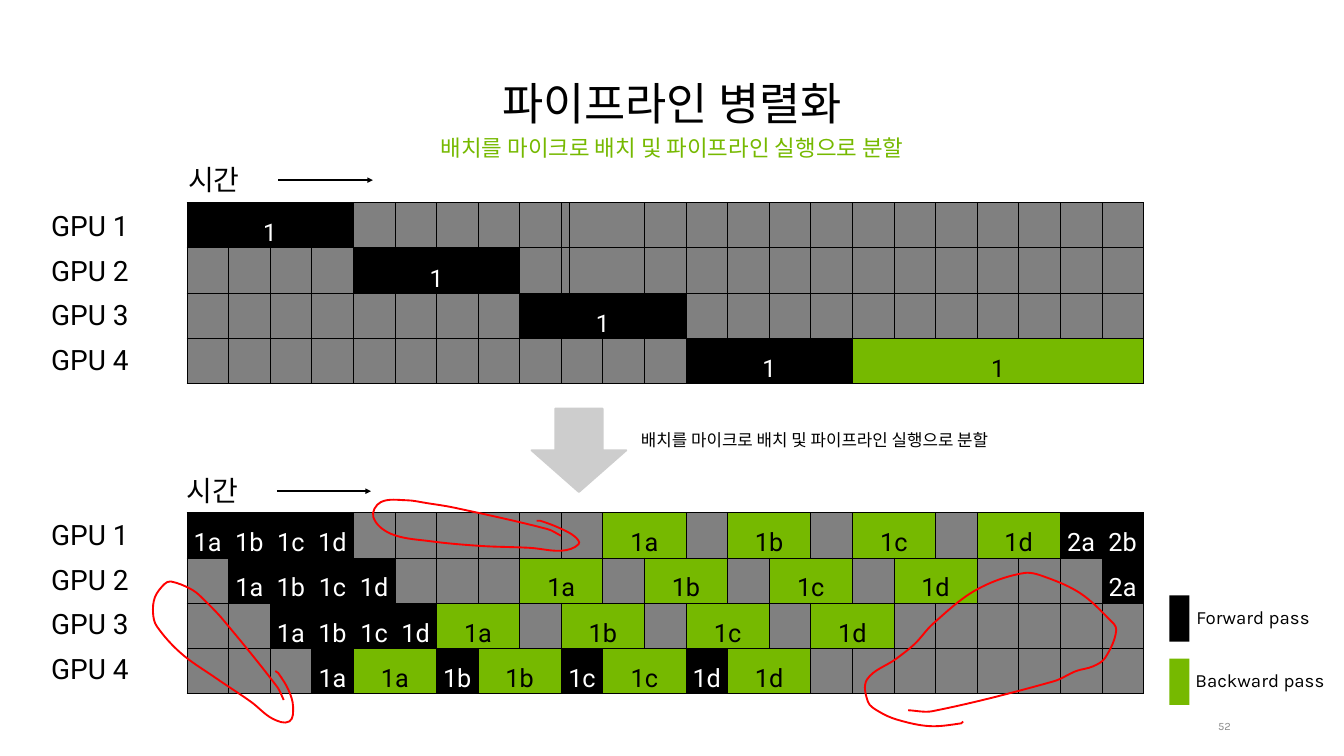
from math import hypot
from pptx import Presentation
from pptx.dml.color import RGBColor
from pptx.enum import shapes, text
from pptx.oxml import parse_xml
from pptx.oxml.ns import nsdecls, qn
from pptx.util import Pt

BLACK = RGBColor(0x00, 0x00, 0x00)
WHITE = RGBColor(0xFF, 0xFF, 0xFF)
GREEN = RGBColor(0x76, 0xB9, 0x00)
GRAY = RGBColor(0x80, 0x80, 0x80)
SILVER = RGBColor(0xCD, 0xCD, 0xCD)
PAGE_GRAY = RGBColor(0x8C, 0x8C, 0x8C)
RED = RGBColor(0xFF, 0x00, 0x00)
LEFT, CENTER, RIGHT = text.PP_ALIGN.LEFT, text.PP_ALIGN.CENTER, text.PP_ALIGN.RIGHT
TOP, MIDDLE, BOTTOM = text.MSO_ANCHOR.TOP, text.MSO_ANCHOR.MIDDLE, text.MSO_ANCHOR.BOTTOM

# Content
SUBTITLE = "배치를 마이크로 배치 및 파이프라인 실행으로 분할"
# text, box, size, font, colour, alignment, anchor, (side, top) margins, line spacing
TEXTS = [
    ("52", (1276.4, 771, 42.5, 14.4), 12, "Karla", PAGE_GRAY, RIGHT, MIDDLE, (0, 0), 1),
    ("파이프라인 병렬화", (65.5, 68.2, 1309, 77.8), 48, "Karla", BLACK, CENTER, BOTTOM, (12, 6), 0.9),
    (SUBTITLE, (65.5, 143, 1309, 69), 24, "Karla", GREEN, CENTER, TOP, (7.2, 3.6), 0.9),
    ("Forward pass", (1245.4, 648, 194.4, 28.8), 20, "Karla", BLACK, CENTER, MIDDLE, (7.2, 3.6), 0.9),
    ("Backward pass", (1252.8, 715.7, 194.4, 28.8), 20, "Karla", BLACK, CENTER, MIDDLE, (7.2, 3.6), 0.9),
    (SUBTITLE, (679.7, 456.5, 723.6, 28.8), 18, "Arial", BLACK, LEFT, TOP, (7.2, 3.6), 1),
]
GPUS = ["GPU 1", "GPU 2", "GPU 3", "GPU 4"]
MICRO = ["1a", "1b", "1c", "1d"]
LEGEND = [(BLACK, 637.9), (GREEN, 705.6)]
STEP, ROW_H, TABLE_X = 44.58, 48.5, 200.2

# Blocks: row, first column, columns spanned, text, fill
ONE_BATCH = [
    (0, 0, 4, "1", BLACK), (1, 4, 4, "1", BLACK), (2, 8, 5, "1", BLACK),
    (3, 13, 4, "1", BLACK), (3, 17, 7, "1", GREEN),
    (0, 10, 2, "", GRAY), (1, 10, 2, "", GRAY), (3, 9, 2, "", GRAY),
]
MICRO_BATCHES = [(0, 21, 1, "2a", BLACK), (0, 22, 1, "2b", BLACK), (1, 22, 1, "2a", BLACK)]
for row in range(4):
    for i, name in enumerate(MICRO):
        forward_gap = 3 if row == 3 else 1  # the last GPU alternates both passes
        MICRO_BATCHES.append((row, row + forward_gap * i, 1, name, BLACK))
        MICRO_BATCHES.append((row, 10 - 2 * row + 3 * i, 2, name, GREEN))

# Schedules: table top, label top, time label and arrow positions, columns, size, blocks
SCHEDULES = [
    (217, 218.5, (194.4, 170.3), (298, 399.6, 193), [STEP] * 9 + [8.9, 35.7] + [STEP] * 13, 26, ONE_BATCH),
    (549.2, 549.7, (193, 503.3), (296.6, 397.4, 526.3), [STEP] * 23, 27, MICRO_BATCHES),
]

# Hand-drawn loops around the idle time
LOOPS = [
    [(601, 574), (587, 567), (487, 544), (457, 539), (436, 536), (408, 538), (400, 554),
     (419, 572), (462, 580), (516, 585), (568, 587), (602, 590), (620, 583), (616, 575),
     (600, 566), (579, 558), (575, 558)],
    [(973, 761), (999, 762), (1129, 730), (1153, 719), (1171, 714), (1184, 705), (1196, 675),
     (1188, 663), (1158, 636), (1122, 619), (1097, 614), (1046, 632), (1000, 668), (980, 690),
     (960, 706), (929, 728), (930, 752), (941, 762), (961, 771), (996, 778), (1030, 775),
     (1032, 773)],
    [(304, 750), (297, 736), (239, 664), (220, 644), (206, 632), (183, 623), (176, 626),
     (166, 640), (164, 657), (168, 671), (194, 700), (232, 727), (269, 752), (292, 770),
     (310, 773), (314, 757), (309, 739), (298, 721), (295, 719)],
]

prs = Presentation()
prs.slide_width, prs.slide_height = Pt(1440), Pt(810)
s = prs.slides.add_slide(prs.slide_layouts[6])


def add_run(p, words, size, font, color):
    r = p.add_run()
    r.text = words
    r.font.size, r.font.name, r.font.color.rgb = Pt(size), font, color


def add_text(words, box, size, font, color, align, anchor, margins, spacing):
    tf = s.shapes.add_textbox(*map(Pt, box)).text_frame
    tf.word_wrap, tf.vertical_anchor = True, anchor
    tf.margin_left = tf.margin_right = Pt(margins[0])
    tf.margin_top = tf.margin_bottom = Pt(margins[1])
    p = tf.paragraphs[0]
    p.alignment, p.line_spacing = align, spacing
    add_run(p, words, size, font, color)


def add_shape(kind, box, color):
    sp = s.shapes.add_shape(kind, *map(Pt, box))
    sp.shadow.inherit = False
    sp.fill.solid()
    sp.fill.fore_color.rgb = color
    sp.line.fill.background()
    return sp


def style_cell(cell, color):
    tcPr = cell._tc.get_or_add_tcPr()
    for side in "LRTB":
        tcPr.append(parse_xml(
            f'<a:ln{side} {nsdecls("a")} w="9525"><a:solidFill>'
            f'<a:srgbClr val="{BLACK}"/></a:solidFill></a:ln{side}>'))
    cell.fill.solid()
    cell.fill.fore_color.rgb = color
    cell.margin_left = cell.margin_right = Pt(0.72)
    cell.margin_top = cell.margin_bottom = Pt(0)
    cell.vertical_anchor = BOTTOM


def add_schedule(top, columns, size, blocks):
    t = s.shapes.add_table(4, len(columns), Pt(TABLE_X), Pt(top),
                           Pt(sum(columns)), Pt(4 * ROW_H)).table
    t.first_row = t.horz_banding = False
    for column, width in zip(t.columns, columns):
        column.width = Pt(width)
    fills = {(row, col + k): fill for row, col, span, _, fill in blocks for k in range(span)}
    for row in range(4):
        t.rows[row].height = Pt(ROW_H)
        for col in range(len(columns)):
            style_cell(t.cell(row, col), fills.get((row, col), GRAY))
    for row, col, span, words, fill in blocks:
        cell = t.cell(row, col)
        if span > 1:
            cell.merge(t.cell(row, col + span - 1))
        if words:
            p = cell.text_frame.paragraphs[0]
            p.alignment = CENTER
            add_run(p, words, size, "Roboto", WHITE if fill == BLACK else BLACK)


def add_time_arrow(x1, x2, y):
    c = s.shapes.add_connector(shapes.MSO_CONNECTOR.STRAIGHT, Pt(x1), Pt(y), Pt(x2), Pt(y))
    c.line.color.rgb, c.line.width = BLACK, Pt(1.5)
    c.line._get_or_add_ln().append(parse_xml(f'<a:tailEnd {nsdecls("a")} type="triangle"/>'))
    c._element.spPr.append(parse_xml(f'<a:effectLst {nsdecls("a")}/>'))


def add_loop(points):
    """An open outline whose segments bend along the neighbouring points."""
    fb = s.shapes.build_freeform(*points[0], scale=Pt(1))
    fb.add_line_segments(points[1:], close=False)
    sp = fb.convert_to_shape()
    sp.shadow.inherit = False
    sp.fill.background()
    sp.line.color.rgb, sp.line.width = RED, Pt(2)

    left, top = min(x for x, _ in points), min(y for _, y in points)
    headings = []
    for (ax, ay), (bx, by) in zip(points[:1] + points[:-1], points[1:] + points[-1:]):
        d = hypot(bx - ax, by - ay)
        headings.append(((bx - ax) / d, (by - ay) / d))
    outline = sp._element.spPr.find(".//" + qn("a:path"))
    # Finer units leave room for the handles between whole points
    for side in "wh":
        outline.set(side, str(int(outline.get(side)) * 100))
    for pt in outline.iter(qn("a:pt")):
        pt.set("x", str(int(pt.get("x")) * 100))
        pt.set("y", str(int(pt.get("y")) * 100))
    lines = outline.findall(qn("a:lnTo"))
    for line, a, b, u, v in zip(lines, points, points[1:], headings, headings[1:]):
        reach = hypot(b[0] - a[0], b[1] - a[1]) / 3
        handles = [(a[0] + reach * u[0], a[1] + reach * u[1]),
                   (b[0] - reach * v[0], b[1] - reach * v[1]), b]
        pts = "".join(f'<a:pt x="{round((x - left) * 100)}" y="{round((y - top) * 100)}"/>'
                      for x, y in handles)
        outline.replace(line, parse_xml(
            f'<a:cubicBezTo {nsdecls("a")}>{pts}</a:cubicBezTo>'))


# Titles, legend texts, caption and page number
for item in TEXTS:
    add_text(*item)

# Both schedules with their labels
for top, label_top, time_at, arrow, columns, size, blocks in SCHEDULES:
    add_schedule(top, columns, size, blocks)
    add_text("시간", (*time_at, 99.4, 43.9), 30, "Roboto", BLACK, LEFT, TOP, (7.2, 3.6), 1)
    add_time_arrow(*arrow)
    for i, gpu in enumerate(GPUS):
        add_text(gpu, (12.2, label_top + 47.75 * i, 168.5, 47.5), 30, "Roboto", BLACK,
                 CENTER, TOP, (10.8, 5), 1)

# Arrow between the schedules
down = add_shape(shapes.MSO_SHAPE.DOWN_ARROW, (569.5, 437.8, 101.5, 89.3), SILVER)
down.line.color.rgb, down.line.width = SILVER, Pt(2)

# Legend swatches
for color, y in LEGEND:
    add_shape(shapes.MSO_SHAPE.RECTANGLE, (1252.8, y, 21.6, 49.7), color)

# Red loops
for loop in LOOPS:
    add_loop(loop)

prs.save("out.pptx")
